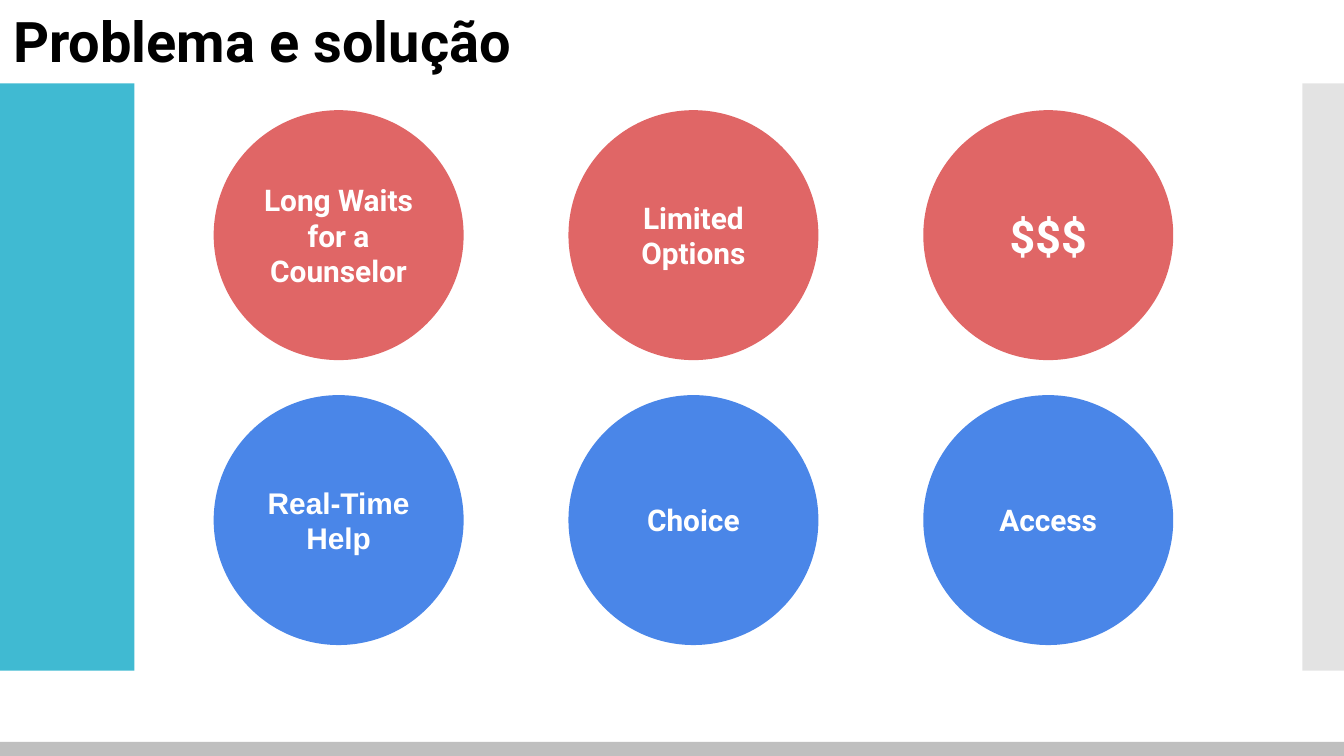
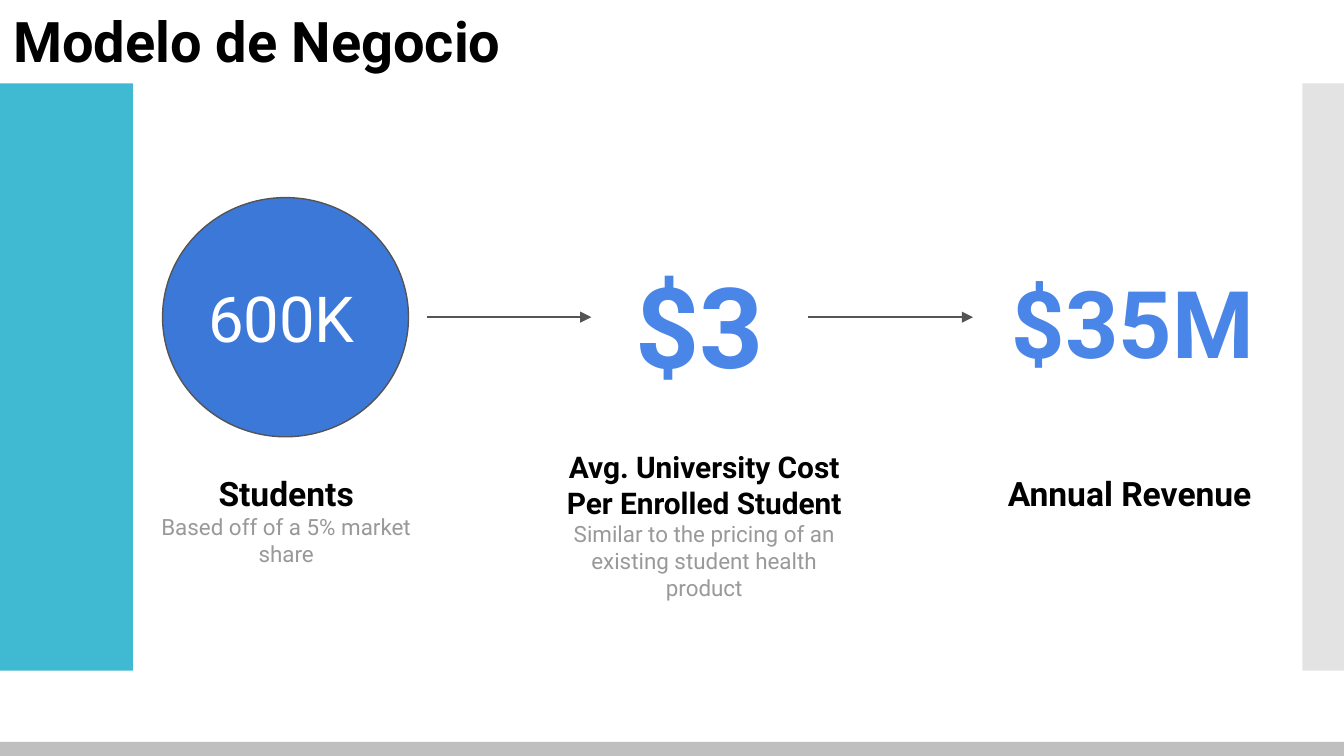
"""Build two pitch slides: problem and solution, and business model."""
from lxml.etree import SubElement
from pptx import Presentation
from pptx.dml.color import RGBColor
from pptx.enum.shapes import MSO_CONNECTOR, MSO_SHAPE
from pptx.enum.text import MSO_ANCHOR, PP_ALIGN
from pptx.oxml.ns import qn
from pptx.util import Inches, Pt

FONT = "Roboto"
BLACK, WHITE, GREY, OUTLINE = "000000", "FFFFFF", "999999", "545454"
TEAL, SIDE, FOOTER = "40BAD2", "C8C8C8", "BFBFBF"
RED, BLUE, DEEP_BLUE = "E06666", "4A86E8", "3C78D8"

BANDS = [
    ((0, 0.62, 2.82, 4.37), TEAL, None),
    ((9.69, 0.62, 0.31, 4.37), SIDE, 50),
    ((0, 5.52, 10, 0.11), FOOTER, None),
]

CIRCLE_ROWS = [
    (RED, [("Long Waits for a Counselor", {}), ("Limited Options", {}),
           ("$$$", {"size": 24})]),
    (BLUE, [("Real-Time Help", {"font": "Arial"}), ("Choice", {}), ("Access", {})]),
]
CIRCLE_LEFT, CIRCLE_TOP, CIRCLE_SIZE = 1.59, 0.82, 1.86
COLUMN_STEP, ROW_STEP = 2.64, 2.12

FIGURES = [
    ("600K", (1.45, 1.98, 1.36, 0.97), {"size": 34, "color": WHITE, "bold": False}),
    ("$3", (4.48, 1.81, 1.45, 1.32), {"size": 60, "color": BLUE, "align": PP_ALIGN.CENTER}),
    ("$35M", (7.43, 1.87, 2.19, 1.32), {"size": 50, "color": BLUE}),
]
CAPTIONS = [
    ("Students", 18, "Based off of a 5% market share", (1.08, 3.42, 2.1, 0.59)),
    ("Avg. University Cost Per Enrolled Student", 16,
     "Similar to the pricing of an existing student health product",
     (4.03, 3.24, 2.42, 0.59)),
    ("Annual Revenue", 18, None, (7.31, 3.42, 2.19, 0.59)),
]
ARROW_Y, ARROWS = 2.36, [(3.18, 4.4), (6.01, 7.24)]


def rgb(color):
    return RGBColor.from_string(color)


def write(frame, text, size=16, color=BLACK, bold=True, font=FONT, align=PP_ALIGN.LEFT):
    para = frame.paragraphs[0]
    if para.runs:
        para = frame.add_paragraph()
    para.alignment = align
    span = para.add_run()
    span.text = text
    span.font.name, span.font.size, span.font.bold = font, Pt(size), bold
    span.font.color.rgb = rgb(color)


def set_frame(frame, anchor):
    frame.word_wrap = True
    frame.vertical_anchor = anchor
    frame.margin_left = frame.margin_right = Inches(0.1)
    frame.margin_top = frame.margin_bottom = Inches(0.1)
    return frame


def add_text_box(page, place):
    box = page.shapes.add_textbox(*map(Inches, place))
    return set_frame(box.text_frame, MSO_ANCHOR.TOP)


def add_filled(page, kind, place, fill, line=None, opacity=None):
    shape = page.shapes.add_shape(kind, *map(Inches, place))
    shape.shadow.inherit = False
    shape.fill.solid()
    shape.fill.fore_color.rgb = rgb(fill)
    if opacity:
        color = shape._element.spPr.find(qn("a:solidFill"))[0]
        SubElement(color, qn("a:alpha")).set("val", str(opacity * 1000))
    if line:
        shape.line.color.rgb = rgb(line)
        shape.line.width = Pt(0.75)
    else:
        shape.line.fill.background()
    return shape


def add_arrow(page, start, end):
    y = Inches(ARROW_Y)
    arrow = page.shapes.add_connector(
        MSO_CONNECTOR.STRAIGHT, Inches(start), y, Inches(end), y)
    arrow.line.color.rgb = rgb(OUTLINE)
    arrow.line.width = Pt(0.75)
    properties = arrow._element.spPr
    SubElement(properties.find(qn("a:ln")), qn("a:tailEnd")).set("type", "triangle")
    SubElement(properties, qn("a:effectLst"))


def add_page(deck, title, panel_left, title_width):
    page = deck.slides.add_slide(deck.slide_layouts[6])
    for place, fill, opacity in BANDS:
        add_filled(page, MSO_SHAPE.RECTANGLE, place, fill, opacity=opacity)
    add_filled(page, MSO_SHAPE.RECTANGLE, (panel_left, 0.49, 1.86, 4.64), WHITE)
    write(add_text_box(page, (0, -0.05, title_width, 0.71)), title, size=30)
    return page


def build_problem(deck):
    page = add_page(deck, "Problema e solução", 1, 7.68)
    for row, (fill, labels) in enumerate(CIRCLE_ROWS):
        for column, (label, style) in enumerate(labels):
            place = (CIRCLE_LEFT + column * COLUMN_STEP, CIRCLE_TOP + row * ROW_STEP,
                     CIRCLE_SIZE, CIRCLE_SIZE)
            circle = add_filled(page, MSO_SHAPE.OVAL, place, fill)
            frame = set_frame(circle.text_frame, MSO_ANCHOR.MIDDLE)
            write(frame, label, color=WHITE, align=PP_ALIGN.CENTER, **style)


def build_model(deck):
    page = add_page(deck, "Modelo de Negocio", 0.99, 5.24)
    add_filled(page, MSO_SHAPE.OVAL, (1.21, 1.47, 1.83, 1.78), DEEP_BLUE, line=OUTLINE)
    for figure, place, style in FIGURES:
        write(add_text_box(page, place), figure, **style)
    for heading, size, detail, place in CAPTIONS:
        frame = add_text_box(page, place)
        write(frame, heading, size=size, align=PP_ALIGN.CENTER)
        if detail:
            write(frame, detail, size=12, color=GREY, bold=False, align=PP_ALIGN.CENTER)
    for start, end in ARROWS:
        add_arrow(page, start, end)


def main():
    deck = Presentation()
    deck.slide_width = Inches(10)
    deck.slide_height = deck.slide_width * 9 // 16
    build_problem(deck)
    build_model(deck)
    deck.save("out.pptx")


if __name__ == "__main__":
    main()
